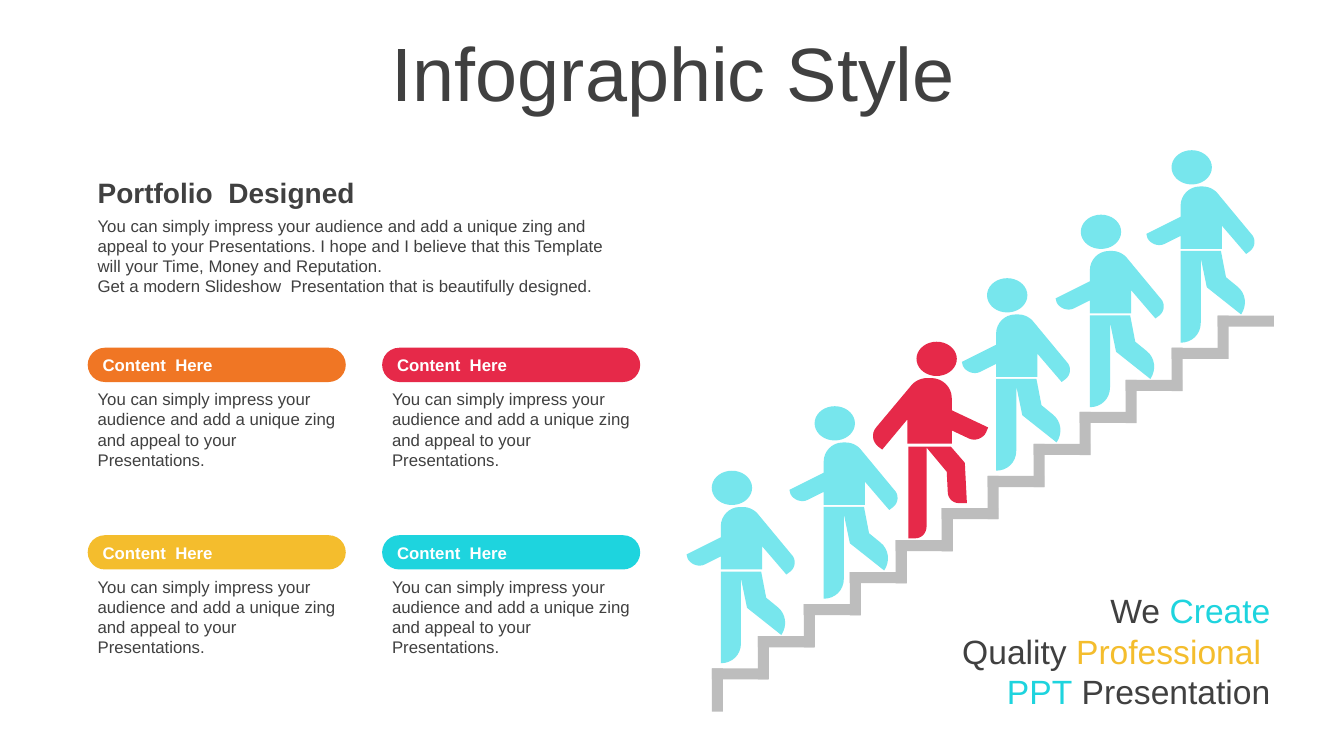
from math import cos, pi, sin

from pptx import Presentation
from pptx import util as u
from pptx.dml import color
from pptx.enum import shapes, text

Inches = u.Inches
DARK, RED, ORANGE, YELLOW, CYAN = "404040", "E62949", "F07624", "F4BD2D", "1ED4DE"
PALE_CYAN, GREY, WHITE = "77E6ED", "BDBDBD", "FFFFFF"

WALKER = {
    "legs": [(.34, 1), (.74, 1), (.79, 1.26), (.9, 1.35),
             (.99, 1.42, 1, 1.54, .94, 1.63), (.6, 1.36), (.54, 1.07),
             (.54, 1.71), (.54, 1.83, .45, 1.91, .34, 1.91)],
    "torso": [(.53, .36), (.56, .36), (.61, .36, .66, .38, .7, .42),
              (1.04, .83), (1.09, .88, 1.08, .96, 1.03, 1), (.99, 1.03),
              (.75, .75), (.75, .98), (.34, .98), (.34, .85), (.18, .93),
              (.12, .96, .04, .93, .01, .87), (0, .83), (.34, .66),
              (.34, .55), (.34, .45, .42, .36, .53, .36)],
    "head": (.45, .17),
}
LEADER = {
    "legs": [(.35, 1.04), (.77, 1.04), (.9, 1.19),
             (.91, 1.2, .91, 1.21, .91, 1.21), (.93, 1.6), (.87, 1.6),
             (.8, 1.61, .74, 1.56, .74, 1.49), (.73, 1.29), (.53, 1.05),
             (.53, 1.83), (.53, 1.9, .48, 1.95, .42, 1.95), (.35, 1.95)],
    "torso": [(.54, .36), (.57, .36), (.69, .36, .78, .45, .78, .56),
              (.78, .68), (1.14, .85), (1.12, .9),
              (1.09, .96, 1.01, .99, .95, .96), (.78, .88), (.78, 1.01),
              (.34, 1.01), (.34, .77), (.09, 1.07), (.05, 1.04),
              (-.01, .99, -.02, .91, .03, .85), (.39, .42),
              (.43, .38, .49, .36, .54, .36)],
    "head": (.63, .17),
}
CLIMBERS = [
    (LEADER, RED, 8.66, 3.39),
    (WALKER, PALE_CYAN, 6.81, 4.67),
    (WALKER, PALE_CYAN, 7.83, 4.03),
    (WALKER, PALE_CYAN, 9.54, 2.76),
    (WALKER, PALE_CYAN, 10.47, 2.13),
    (WALKER, PALE_CYAN, 11.37, 1.49),
]
PITCH = "You can simply impress your audience and add a unique zing and appeal to your Presentations."


def rgb(value):
    return color.RGBColor.from_string(value)


def box(*lengths):
    return [Inches(length) for length in lengths]


def paint(shape, fill):
    shape.shadow.inherit = False
    shape.fill.solid()
    shape.fill.fore_color.rgb = rgb(fill)
    shape.line.fill.background()


def write(frame, paragraphs, size, bold=False, frame_format=None, paragraph_format=None):
    settings = {"word_wrap": True, "vertical_anchor": text.MSO_ANCHOR.TOP}
    settings.update(frame_format or {})
    for name, value in settings.items():
        setattr(frame, name, value)
    for index, runs in enumerate(paragraphs):
        paragraph = frame.add_paragraph() if index else frame.paragraphs[0]
        layout = {"alignment": text.PP_ALIGN.LEFT, **(paragraph_format or {})}
        for name, value in layout.items():
            setattr(paragraph, name, value)
        for wording, ink in runs:
            run = paragraph.add_run()
            run.text = wording
            run.font.color.rgb = rgb(ink)
            for name, value in {"name": "Arial", "size": u.Pt(size), "bold": bold}.items():
                setattr(run.font, name, value)


def add_text(slide, place, paragraphs, size, **formats):
    write(slide.shapes.add_textbox(*box(*place)).text_frame, paragraphs, size, **formats)


def flatten(outline, steps=8):
    points = [outline[0]]
    for part in outline[1:]:
        if len(part) == 2:
            points.append(part)
            continue
        knots = [points[-1], part[:2], part[2:4], part[4:]]
        for step in range(1, steps + 1):
            t = step / steps
            weights = ((1 - t) ** 3, 3 * t * (1 - t) ** 2, 3 * t * t * (1 - t), t ** 3)
            points.append(tuple(sum(w * knot[axis] for w, knot in zip(weights, knots))
                                for axis in (0, 1)))
    return points


def oval(center, radius_x=.2, radius_y=.17, steps=36):
    angles = [2 * pi * step / steps for step in range(steps)]
    return [(center[0] + radius_x * cos(a), center[1] + radius_y * sin(a)) for a in angles]


def add_climber(slide, figure, fill, left, top):
    outlines = [flatten(figure["legs"]), flatten(figure["torso"]), oval(figure["head"])]
    placed = [[(Inches(left + x), Inches(top + y)) for x, y in outline] for outline in outlines]
    builder = slide.shapes.build_freeform(*placed[0][0])
    for index, outline in enumerate(placed):
        if index:
            builder.move_to(*outline[0])
        builder.add_line_segments(outline[1:], close=True)
    paint(builder.convert_to_shape(), fill)


def add_stairs(slide, steps=12, left=7.06, top=6.63, run=.456, rise=.318):
    for step in range(steps):
        for width, height in ((.56, .11), (.11, .43)):
            place = box(left + step * run, top - step * rise, width, height)
            paint(slide.shapes.add_shape(shapes.MSO_SHAPE.RECTANGLE, *place), GREY)


def add_card(slide, left, top, fill):
    pill = slide.shapes.add_shape(shapes.MSO_SHAPE.ROUNDED_RECTANGLE, *box(left, top, 2.56, .34))
    pill.adjustments[0] = .5
    paint(pill, fill)
    write(pill.text_frame, [[("Content  Here", WHITE)]], 12, bold=True,
          frame_format={"vertical_anchor": text.MSO_ANCHOR.MIDDLE})
    add_text(slide, (left, top + .36, 2.56, .91), [[(PITCH, DARK)]], 12)


def main():
    deck = Presentation()
    deck.slide_width, deck.slide_height = box(13.33, 7.5)
    slide = deck.slides.add_slide(deck.slide_layouts[6])
    middle = {"vertical_anchor": text.MSO_ANCHOR.MIDDLE}

    add_text(slide, (.35, .37, 12.66, .79), [[("Infographic Style", DARK)]], 54,
             frame_format=middle,
             paragraph_format={"alignment": text.PP_ALIGN.CENTER, "line_spacing": .9})
    for climber in CLIMBERS:
        add_climber(slide, *climber)
    add_stairs(slide)
    add_text(slide, (9.23, 5.85, 3.41, 1.21),
             [[("We ", DARK), ("Create", CYAN)],
              [("Quality ", DARK), ("Professional ", YELLOW)],
              [("PPT", CYAN), (" Presentation", DARK)]], 24,
             frame_format={**middle, "margin_left": Inches(.04), "margin_right": Inches(.04),
                           "margin_top": 0, "margin_bottom": 0},
             paragraph_format={"alignment": text.PP_ALIGN.RIGHT})
    add_text(slide, (.87, 1.7, 5.46, .39), [[("Portfolio  Designed", DARK)]], 20, bold=True,
             frame_format=middle, paragraph_format={"line_spacing": 1.1})
    add_text(slide, (.87, 2.09, 5.46, .91),
             [[(PITCH[:-1] + ". I hope and I believe that this Template will your Time, "
                "Money and Reputation.", DARK)],
              [("Get a modern Slideshow  Presentation that is beautifully designed.", DARK)]], 12)
    for index, fill in enumerate((ORANGE, RED, YELLOW, CYAN)):
        row, column = divmod(index, 2)
        add_card(slide, .87 + column * 2.92, 3.45 + row * 1.86, fill)
    deck.save("out.pptx")


if __name__ == "__main__":
    main()
